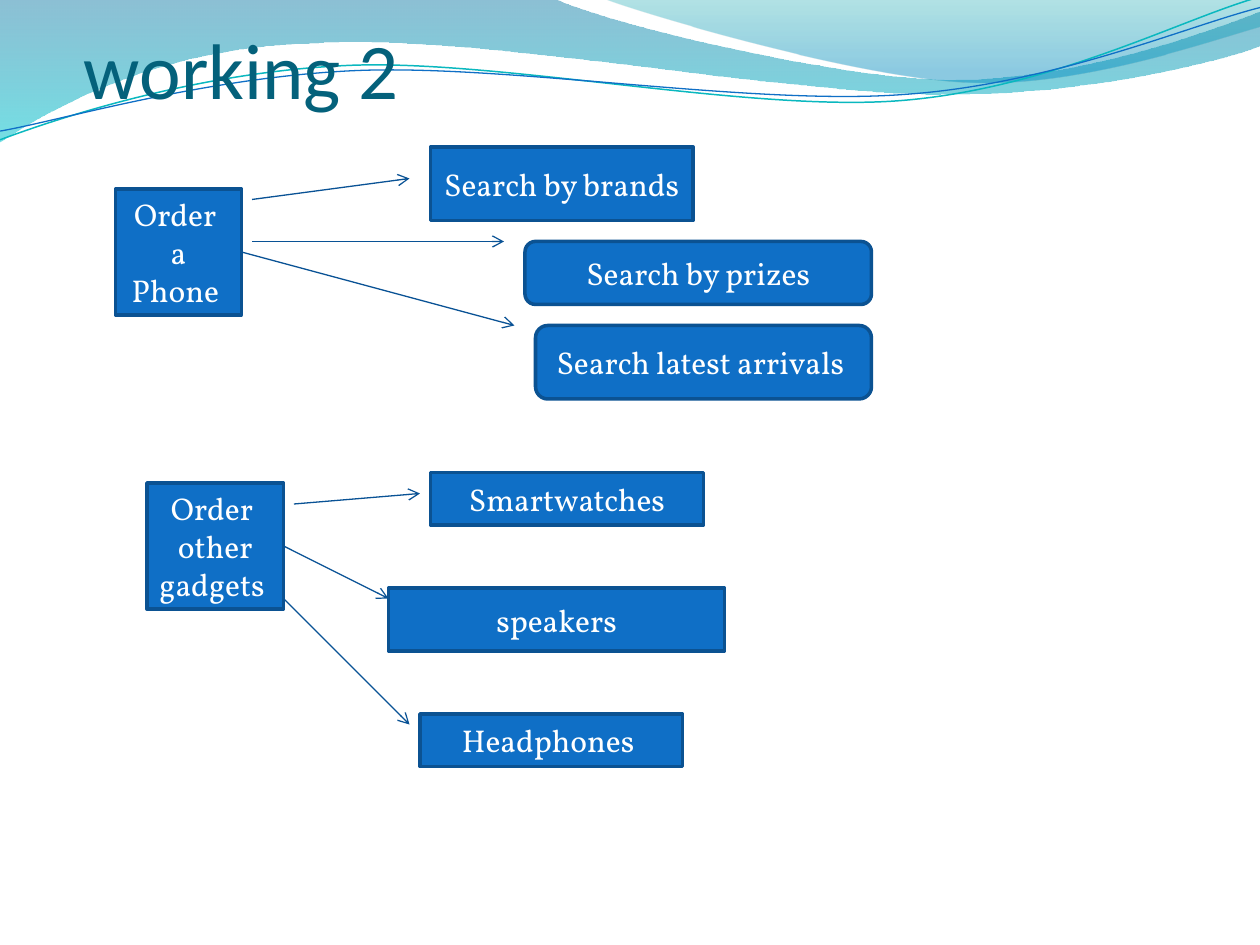
from lxml import etree
from pptx import Presentation
from pptx.dml.color import RGBColor
from pptx.enum.shapes import MSO_CONNECTOR, MSO_SHAPE as Shape
from pptx.enum.text import MSO_ANCHOR as Anchor, PP_ALIGN as Align
from pptx.oxml.ns import qn
from pptx.util import Pt


def rgb(value):
    return RGBColor.from_string(value)


def add_curve(shapes, segments, close):
    """Draw straight (2 values) and Bezier (6 values) segments as one freeform."""
    points = [(Pt(x), Pt(y)) for segment in segments
              for x, y in zip(segment[::2], segment[1::2])]
    builder = shapes.build_freeform(*points[0])
    builder.add_line_segments(points[1:], close=close)
    curve = builder.convert_to_shape()
    curve.shadow.inherit = False
    # Merge each three straight steps of a Bezier segment into one curve
    steps = iter(list(curve.element.iter(qn("a:lnTo"))))
    for segment in segments[1:]:
        first = next(steps)
        if len(segment) == 6:
            first.tag = qn("a:cubicBezTo")
            for step in (next(steps), next(steps)):
                first.append(step[0])
                step.getparent().remove(step)
    return curve


prs = Presentation()
prs.slide_width, prs.slide_height = Pt(720), Pt(540)
slide = prs.slides.add_slide(prs.slide_layouts[6])
shapes = slide.shapes

# Wave bands: outline, gradient stops (position, colour, opacity in %)
bands = [
    ([(0, 0), (316.8, -0.7),
      (342.7, 12.2, 478.1, 45.4, 545.8, 45.4),
      (614.2, 45.4, 689.8, 18.7, 720, 6.5), (720.7, 25.9),
      (707.8, 31.7, 626.4, 54.7, 537.1, 54),
      (447.8, 54, 275, 20.2, 185, 24.5),
      (92.9, 25.9, 33.1, 59.8, -0.7, 81.4)],
     [(0, "0074A1", 45), (1, "00C6CF", 55)]),
    ([(344.9, -0.7),
      (366.5, 7.9, 491, 44.6, 553.7, 46.8),
      (616.3, 49.7, 691.9, 23, 720, 15.1), (720, 0)],
     [(0, "00A1A9", 30), (0.8, "008BBF", 45)]),
]
for outline, stops in bands:
    band = add_curve(shapes, outline, close=True)
    band.line.fill.background()
    band.fill.gradient()
    band.fill.gradient_angle = 270
    for stop, (position, color, opacity) in zip(band.fill.gradient_stops, stops):
        stop.position = position
        stop.color.rgb = rgb(color)
    colors = band.element.spPr.iter(qn("a:srgbClr"))
    for color_element, (position, color, opacity) in zip(colors, stops):
        etree.SubElement(color_element, qn("a:alpha"), val=str(opacity * 1000))

# Thin wave lines
waves = [
    ([(0, 79.9),
      (34.6, 67, 113.8, 41, 199.4, 37.4),
      (284.4, 33.8, 427, 64.1, 513.4, 57.6),
      (599.8, 51.1, 675.4, 10.8, 718.6, -1.4)], "0AB8BF", 0.85),
    ([(0, 74.9),
      (33.8, 69.1, 118.1, 43.9, 203.8, 40.3),
      (290.2, 36.7, 429.8, 60.5, 516.2, 54),
      (601.9, 48.2, 677.5, 15.1, 720, 4.3)], "0F6FC6", 0.75),
]
for outline, color, width in waves:
    wave = add_curve(shapes, outline, close=False)
    wave.fill.background()
    wave.line.color.rgb = rgb(color)
    wave.line.width = Pt(width)

# Title
title = shapes.add_textbox(Pt(48), Pt(18), Pt(642), Pt(48)).text_frame
title.word_wrap = True
title.vertical_anchor = Anchor.BOTTOM
title.margin_left = title.margin_right = title.margin_bottom = 0
title.margin_top = Pt(3.6)
heading = title.paragraphs[0]
heading.text = "working 2"
heading.font.name = "Calibri"
heading.font.size = Pt(45)
heading.font.color.rgb = rgb("04617B")

# Boxes: preset, left, top, width, height, text
boxes = [
    (Shape.RECTANGLE, 66, 108, 72, 72, "Order  a\nPhone "),
    (Shape.RECTANGLE, 246, 84, 150, 42, "Search by brands"),
    (Shape.ROUNDED_RECTANGLE, 300, 138, 198, 36, "Search by prizes"),
    (Shape.ROUNDED_RECTANGLE, 306, 186, 192, 42, "Search latest arrivals "),
    (Shape.RECTANGLE, 84, 276, 78, 72, "Order  other gadgets "),
    (Shape.RECTANGLE, 246, 270, 156, 30, "Smartwatches"),
    (Shape.RECTANGLE, 222, 336, 192, 36, "speakers"),
    (Shape.RECTANGLE, 240, 408, 150, 30, "Headphones "),
]
for preset, left, top, width, height, text in boxes:
    box = shapes.add_shape(preset, Pt(left), Pt(top), Pt(width), Pt(height))
    box.shadow.inherit = False
    box.fill.solid()
    box.fill.fore_color.rgb = rgb("0F6FC6")
    box.line.color.rgb = rgb("0B5292")
    box.line.width = Pt(2)
    box.text_frame.word_wrap = True
    box.text_frame.vertical_anchor = Anchor.MIDDLE
    box.text_frame.text = text
    for paragraph in box.text_frame.paragraphs:
        paragraph.alignment = Align.CENTER
        paragraph.font.name = "Vollkorn"
        paragraph.font.size = Pt(18)
        paragraph.font.color.rgb = rgb("FFFFFF")

# Arrows from each order to its options: start x, y, end x, y
arrows = [
    (144, 114, 234, 102),
    (144, 138, 288, 138),
    (138, 144, 294, 186),
    (168, 288, 240, 282),
    (162, 312, 222, 342),
    (162, 342, 234, 414),
]
for ends in arrows:
    arrow = shapes.add_connector(MSO_CONNECTOR.STRAIGHT, *map(Pt, ends))
    arrow.line.color.rgb = rgb("095295")
    arrow.line.width = Pt(0.75)
    properties = arrow.element.spPr
    etree.SubElement(properties.find(qn("a:ln")), qn("a:tailEnd"), type="arrow")
    etree.SubElement(properties, qn("a:effectLst"))

prs.save("out.pptx")
